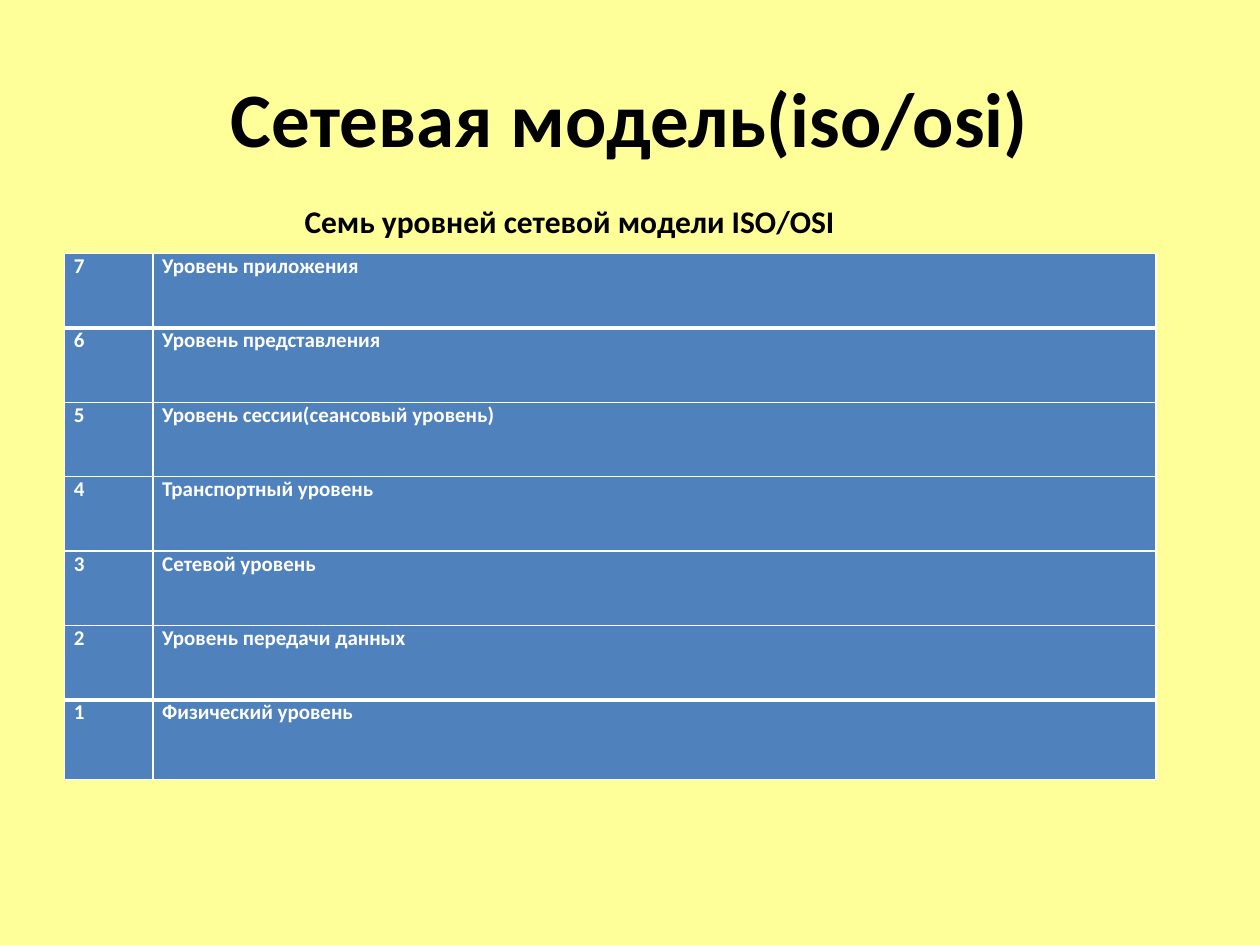
from lxml.etree import SubElement
from pptx import Presentation
from pptx.dml.color import RGBColor
from pptx.enum.text import MSO_ANCHOR, PP_ALIGN
from pptx.oxml.ns import qn
from pptx.util import Cm, Pt

FONT = "Calibri"
BACKGROUND, BLACK, WHITE, BLUE = "FFFF99", "000000", "FFFFFF", "4F81BD"
LAYERS = [
    "Уровень приложения",
    "Уровень представления",
    "Уровень сессии(сеансовый уровень)",
    "Транспортный уровень",
    "Сетевой уровень",
    "Уровень передачи данных",
    "Физический уровень",
]
THICK_RULES = {1, len(LAYERS) - 1}


def set_color(color_format, color):
    color_format.rgb = RGBColor.from_string(color)


def set_fill(fill, color):
    fill.solid()
    set_color(fill.fore_color, color)


def add_text(text_frame, text, size, color, alignment=PP_ALIGN.LEFT):
    paragraph = text_frame.paragraphs[0]
    paragraph.alignment = alignment
    run = paragraph.add_run()
    run.text = text
    run.font.name = FONT
    run.font.size = Pt(size)
    run.font.bold = True
    set_color(run.font.color, color)


def set_borders(cell, widths):
    properties = cell._tc.get_or_add_tcPr()
    for side, width in widths.items():
        line = SubElement(properties, qn(f"a:ln{side}"), w=str(Pt(width)))
        fill = SubElement(line, qn("a:solidFill"))
        SubElement(fill, qn("a:srgbClr"), val=WHITE)


def add_title(slide, left, top, width, height):
    title = slide.shapes.title
    title.left, title.top, title.width, title.height = left, top, width, height
    title.text_frame.vertical_anchor = MSO_ANCHOR.MIDDLE
    add_text(title.text_frame, "Сетевая модель(iso/osi)", 44, BLACK, PP_ALIGN.CENTER)


def add_caption(slide, left, top, width, height):
    caption = slide.shapes.add_textbox(left, top, width, height)
    caption.text_frame.word_wrap = True
    add_text(caption.text_frame, "Семь уровней сетевой модели ISO/OSI", 18, BLACK)


def add_layer_table(slide, left, top, width, height):
    count = len(LAYERS)
    number_width, row_height = Cm(1.78), Cm(1.5)
    table = slide.shapes.add_table(count, 2, left, top, width, height).table
    table.columns[0].width = number_width
    table.columns[1].width = width - number_width
    for index, layer in enumerate(LAYERS):
        is_last = index == count - 1
        table.rows[index].height = height - row_height * index if is_last else row_height
        top_width, bottom_width = (3 if rule in THICK_RULES else 1 for rule in (index, index + 1))
        for column, text in enumerate((str(count - index), layer)):
            cell = table.cell(index, column)
            cell.margin_left = cell.margin_right = Cm(0.19)
            cell.margin_top = cell.margin_bottom = 0
            set_borders(cell, {"L": 1, "R": 1, "T": top_width, "B": bottom_width})
            set_fill(cell.fill, BLUE)
            add_text(cell.text_frame, text, 12, WHITE)


def main():
    presentation = Presentation()
    presentation.slide_width, presentation.slide_height = Cm(25.4), Cm(19.05)
    slide = presentation.slides.add_slide(presentation.slide_layouts[5])
    set_fill(slide.background.fill, BACKGROUND)
    add_title(slide, Cm(1.27), Cm(0.76), Cm(22.86), Cm(3.18))
    add_layer_table(slide, Cm(1.3), Cm(5.11), Cm(22), Cm(10.6))
    add_caption(slide, Cm(5.89), Cm(3.94), Cm(11.28), Cm(1.02))
    presentation.save("out.pptx")


if __name__ == "__main__":
    main()
